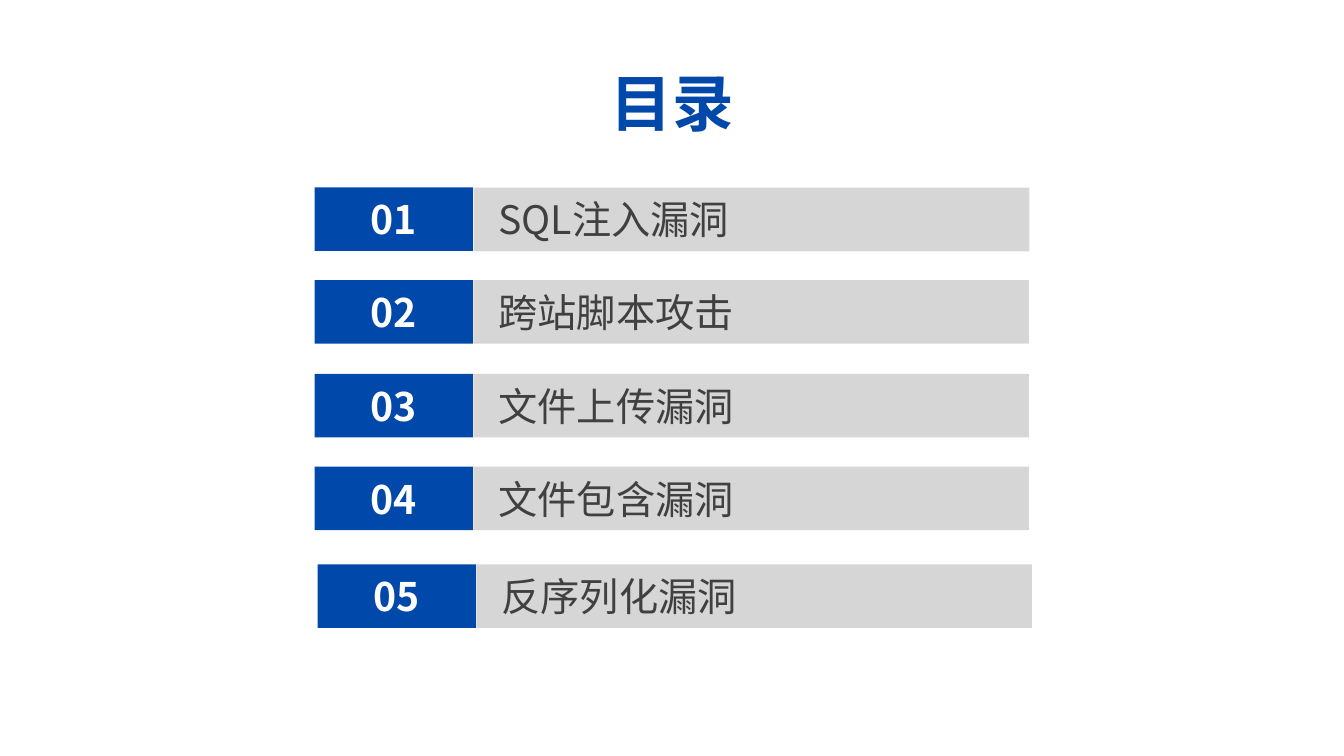
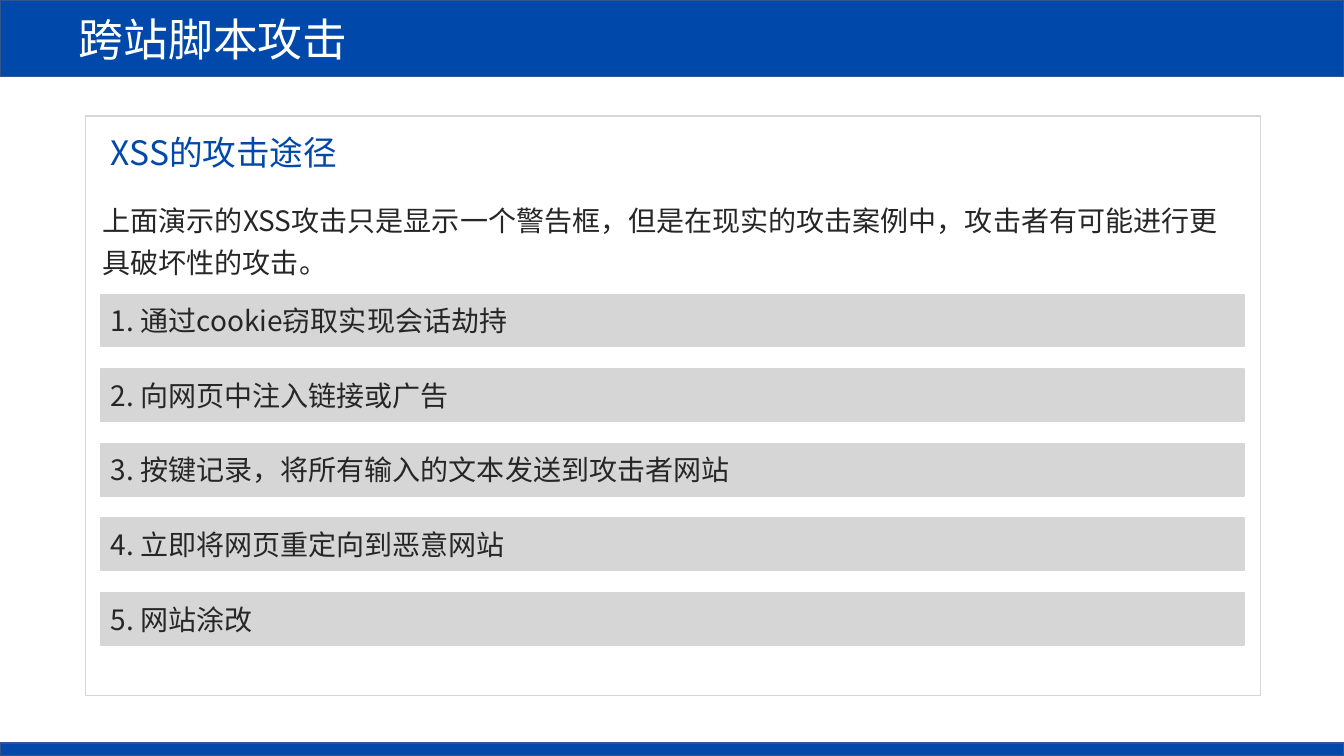
from lxml import etree
from pptx import Presentation
from pptx.dml.color import RGBColor
from pptx.enum.shapes import MSO_SHAPE
from pptx.enum.text import MSO_ANCHOR, PP_ALIGN
from pptx.oxml.ns import qn
from pptx.util import Inches, Pt

RECT = MSO_SHAPE.RECTANGLE
MIDDLE = MSO_ANCHOR.MIDDLE
LEFT, CENTER = PP_ALIGN.LEFT, PP_ALIGN.CENTER

FONT = "Noto Sans CJK SC"
BLUE = RGBColor(0x00, 0x48, 0xAA)
NAVY = RGBColor(0x32, 0x54, 0x91)
GRAY = RGBColor(0xD6, 0xD6, 0xD6)
PALE = RGBColor(0xF2, 0xF2, 0xF2)
DARK = RGBColor(0x40, 0x40, 0x40)
INK = RGBColor(0x26, 0x26, 0x26)
WHITE = RGBColor(0xFF, 0xFF, 0xFF)


def add_rect(s, left, top, width, height, fill=None, line=None, weight=1):
    sp = s.shapes.add_shape(RECT, Inches(left), Inches(top), Inches(width), Inches(height))
    sp.shadow.inherit = False
    if fill is None:
        sp.fill.background()
    else:
        sp.fill.solid()
        sp.fill.fore_color.rgb = fill
    if line is None:
        sp.line.fill.background()
    else:
        sp.line.color.rgb = line
        sp.line.width = Pt(weight)
    sp.text_frame.vertical_anchor = MIDDLE
    return sp


def set_text(sp, text, size, color, bold=False, align=LEFT, inset=0.1):
    tf = sp.text_frame
    tf.word_wrap = True
    tf.margin_left = Inches(inset)
    p = tf.paragraphs[0]
    p.text = text
    p.alignment = align
    p.font.size = Pt(size)
    p.font.bold = bold
    p.font.color.rgb = color
    p.font.name = FONT
    ea = etree.SubElement(p._p.pPr.find(qn("a:defRPr")), qn("a:ea"))
    ea.set("typeface", FONT)
    return p


prs = Presentation()
prs.slide_width = Inches(13.33)
prs.slide_height = Inches(7.5)
blank = prs.slide_layouts[6]

s = prs.slides.add_slide(blank)
title = s.shapes.add_textbox(Inches(5.95), Inches(0.6), Inches(1.44), Inches(0.84))
set_text(title, "目录", 44, BLUE, bold=True, align=CENTER)

chapters = [
    ("SQL注入漏洞", 3.12, 1.86, PALE),
    ("跨站脚本攻击", 3.12, 2.78, None),
    ("文件上传漏洞", 3.12, 3.71, None),
    ("文件包含漏洞", 3.12, 4.63, None),
    ("反序列化漏洞", 3.15, 5.6, None),
]
for number, (label, left, top, border) in enumerate(chapters, 1):
    badge = add_rect(s, left, top, 1.57, 0.63, BLUE)
    set_text(badge, f"{number:02}", 28, WHITE, bold=True, align=CENTER)
    bar = add_rect(s, left + 1.575, top, 5.51, 0.63, GRAY, border, 0.5)
    set_text(bar, label, 28, DARK, inset=0.25)

s = prs.slides.add_slide(blank)
header = add_rect(s, 0, 0, 13.33, 0.76, BLUE, NAVY)
set_text(header, "跨站脚本攻击", 32, WHITE, inset=0.78)
add_rect(s, 0, 7.37, 13.33, 0.13, BLUE, NAVY)
add_rect(s, 0.85, 1.15, 11.65, 5.75, line=GRAY)

heading = s.shapes.add_textbox(Inches(1), Inches(1.26), Inches(3.88), Inches(0.5))
set_text(heading, "XSS的攻击途径", 24, BLUE)

intro = s.shapes.add_textbox(Inches(0.92), Inches(1.89), Inches(11.42), Inches(0.9))
p = set_text(
    intro,
    "上面演示的XSS攻击只是显示一个警告框，但是在现实的攻击案例中，"
    "攻击者有可能进行更具破坏性的攻击。",
    20,
    INK,
)
p.line_spacing = 1.25

attacks = [
    "通过cookie窃取实现会话劫持",
    "向网页中注入链接或广告",
    "按键记录，将所有输入的文本发送到攻击者网站",
    "立即将网页重定向到恶意网站",
    "网站涂改",
]
for i, attack in enumerate(attacks):
    bar = add_rect(s, 1, 2.92 + 0.74 * i, 11.34, 0.52, GRAY, GRAY)
    set_text(bar, f"{i + 1}. {attack}", 20, INK)

prs.save("out.pptx")
